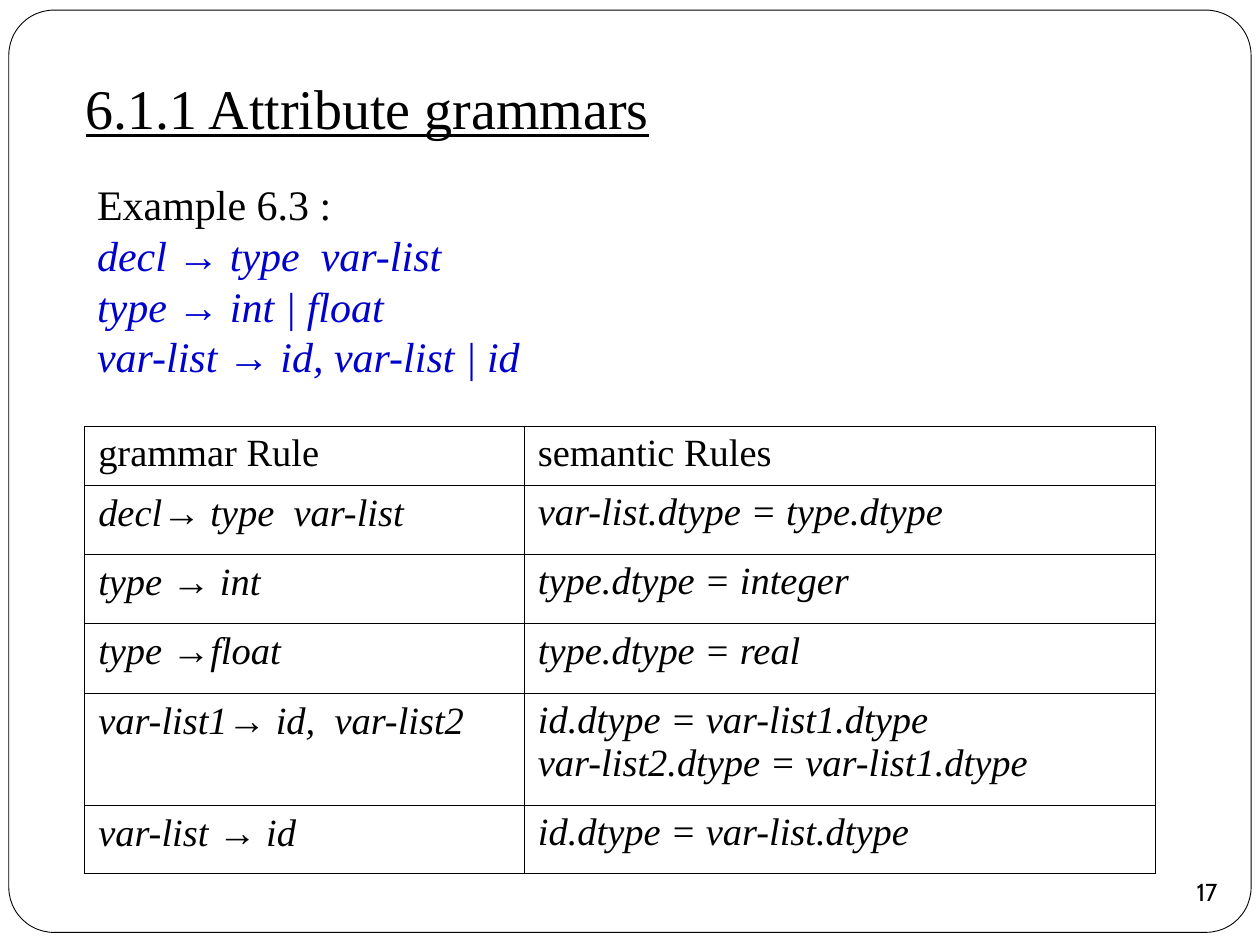
from pptx import Presentation
from pptx.dml.color import RGBColor
from pptx.enum.shapes import MSO_SHAPE as SHAPE
from pptx.enum.text import MSO_ANCHOR as ANCHOR, MSO_AUTO_SIZE as AUTO, PP_ALIGN as ALIGN
from pptx.oxml.ns import qn
from pptx.util import Inches, Pt
from lxml.etree import SubElement

COLORS = {"text": "000000", "paper": "FFFFFF", "grammar": "0000CC"}
SERIF, SYMBOL, NUMBER = "Times New Roman", "Arial", "Cabin"
ARROW = "→"

PRODUCTIONS = ["decl → type  var-list", "type → int | float", "var-list → id, var-list | id"]
RULES = [
    ("grammar Rule", "semantic Rules"),
    ("decl→ type  var-list", "var-list.dtype = type.dtype"),
    ("type → int", "type.dtype = integer"),
    ("type →float", "type.dtype = real"),
    ("var-list1→ id,  var-list2",
     "id.dtype = var-list1.dtype\nvar-list2.dtype = var-list1.dtype"),
    ("var-list → id", "id.dtype = var-list.dtype"),
]
COL_WIDTHS = [3.49, 5.01]
ROW_HEIGHTS = [0.47, 0.55, 0.55, 0.55, 0.89, 0.54]


def rgb(name):
    return RGBColor.from_string(COLORS[name])


def place(sp, box):
    sp.left, sp.top, sp.width, sp.height = (Inches(v) for v in box)


def style_run(r, size, font=SERIF, color="text", italic=False):
    r.font.size, r.font.name, r.font.italic = Pt(size), font, italic
    r.font.color.rgb = rgb(color)


def write_rule(p, text, size, color="text", italic=True):
    """Write a rule as runs, with its arrow in the symbol font."""
    head, arrow, tail = text.partition(ARROW)
    for part in filter(None, (head, arrow, tail)):
        r = p.add_run()
        r.text = part
        style_run(r, size, SYMBOL if part == ARROW else SERIF, color, italic)


def hang(p, indent):
    """Give a paragraph a hanging indent without a bullet."""
    pPr = p._p.get_or_add_pPr()
    pPr.set("marL", str(Inches(indent)))
    pPr.set("indent", str(-Inches(indent)))
    SubElement(pPr, qn("a:buNone"))


def add_frame(s, box):
    sp = s.shapes.add_shape(SHAPE.ROUNDED_RECTANGLE, *(Inches(v) for v in box))
    sp.adjustments[0] = 0.049
    sp.shadow.inherit = False
    sp.fill.solid()
    sp.fill.fore_color.rgb = rgb("paper")
    sp.line.color.rgb = rgb("text")
    sp.line.width = Pt(0.5)
    s.shapes._spTree.insert(2, sp._element)


def fill_title(s, box):
    sp = s.shapes.title
    place(sp, box)
    tf = sp.text_frame
    tf.auto_size, tf.vertical_anchor = AUTO.NONE, ANCHOR.BOTTOM
    tf.margin_bottom = Inches(0.1)
    tf.text = "6.1.1 Attribute grammars"
    p = tf.paragraphs[0]
    p.alignment = ALIGN.LEFT
    style_run(p.runs[0], 32)
    p.runs[0].font.underline = True


def fill_example(s, box):
    sp = s.placeholders[1]
    place(sp, box)
    tf = sp.text_frame
    tf.auto_size = AUTO.NONE
    tf.text = "Example 6.3 :"
    first = tf.paragraphs[0]
    hang(first, 0.5)
    first.space_before = Pt(0)
    style_run(first.runs[0], 24)
    for text in PRODUCTIONS:
        p = tf.add_paragraph()
        hang(p, 0.5)
        p.line_spacing, p.space_before = 0.8, Pt(5.8)
        write_rule(p, text, 24, "grammar")


def add_borders(cell):
    tcPr = cell._tc.get_or_add_tcPr()
    for side in ("a:lnL", "a:lnR", "a:lnT", "a:lnB"):
        ln = SubElement(tcPr, qn(side), w=str(Pt(0.45)))
        fill = SubElement(ln, qn("a:solidFill"))
        SubElement(fill, qn("a:srgbClr"), val=COLORS["text"])


def add_rules_table(s, left, top):
    table = s.shapes.add_table(
        len(RULES), len(COL_WIDTHS), Inches(left), Inches(top),
        Inches(sum(COL_WIDTHS)), Inches(sum(ROW_HEIGHTS))).table
    table.first_row = table.horz_banding = False
    for col, width in zip(table.columns, COL_WIDTHS):
        col.width = Inches(width)
    for i, (row, height) in enumerate(zip(table.rows, ROW_HEIGHTS)):
        row.height = Inches(height)
        for cell, text in zip(row.cells, RULES[i]):
            cell.margin_left = cell.margin_right = Inches(0.11)
            add_borders(cell)
            cell.fill.background()
            tf = cell.text_frame
            for n, line in enumerate(text.split("\n")):
                p = tf.add_paragraph() if n else tf.paragraphs[0]
                hang(p, 0.38)
                write_rule(p, line, 22, italic=i > 0)


def add_page_number(s, box):
    sp = s.shapes.add_shape(SHAPE.OVAL, *(Inches(v) for v in box))
    sp.shadow.inherit = False
    sp.fill.background()
    sp.line.fill.background()
    tf = sp.text_frame
    tf.margin_left = tf.margin_right = tf.margin_top = tf.margin_bottom = 0
    tf.word_wrap, tf.vertical_anchor = False, ANCHOR.MIDDLE
    tf.text = "17"
    p = tf.paragraphs[0]
    p.alignment = ALIGN.CENTER
    style_run(p.runs[0], 14, NUMBER)


def main():
    prs = Presentation()
    prs.slide_width, prs.slide_height = Inches(10), Inches(7.5)
    s = prs.slides.add_slide(prs.slide_layouts[1])
    add_frame(s, (0.07, 0.08, 9.86, 7.32))
    fill_title(s, (0.58, 0.5, 8.5, 0.72))
    fill_example(s, (0.67, 1.37, 7.83, 1.75))
    add_rules_table(s, 0.67, 3.38)
    add_page_number(s, (9.33, 6.83, 0.5, 0.5))
    prs.save("out.pptx")


if __name__ == "__main__":
    main()
